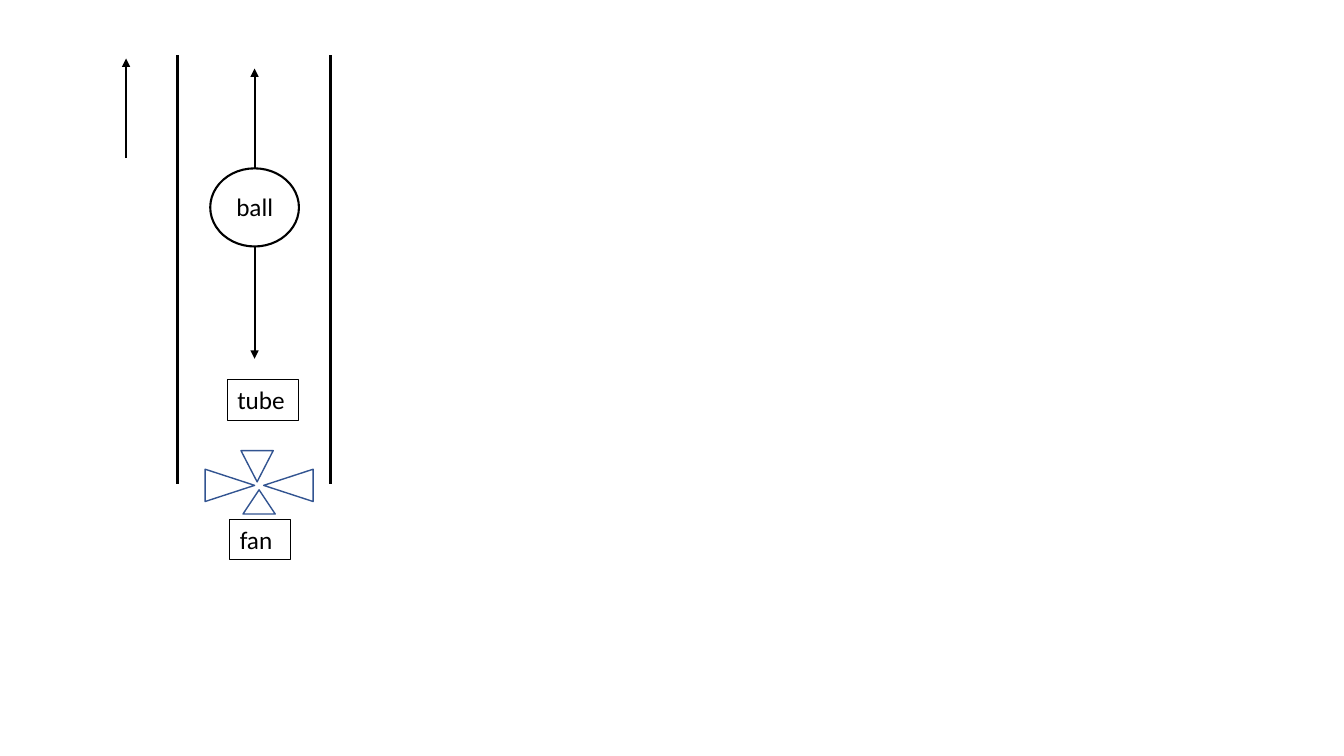
from dataclasses import dataclass

from lxml.etree import SubElement
from pptx import Presentation
from pptx.dml.color import RGBColor
from pptx.enum.shapes import MSO_CONNECTOR, MSO_SHAPE
from pptx.enum.text import MSO_AUTO_SIZE as AutoSize
from pptx.oxml.ns import qn
from pptx.util import Inches, Pt


@dataclass(frozen=True)
class Theme:
    ink: str = "000000"
    paper: str = "FFFFFF"
    blade: str = "325491"
    font: str = "Calibri"
    label_size: float = 18
    wall_width: float = 2.25
    force_width: float = 1.5
    blade_width: float = 1
    frame_width: float = 0.75


class Diagram:
    """Draws on one slide, in columns and rows of a tenth of an inch."""

    CELL = Inches(0.1)

    def __init__(self, slide, theme):
        self.shapes = slide.shapes
        self.theme = theme

    def cells(self, *counts):
        return [round(count * self.CELL) for count in counts]

    def style(self, shape, fill=None, line=None, width=0):
        if fill:
            shape.fill.solid()
            shape.fill.fore_color.rgb = RGBColor.from_string(fill)
        else:
            shape.fill.background()
        if line:
            shape.line.color.rgb = RGBColor.from_string(line)
            shape.line.width = Pt(width)
        else:
            shape.line.fill.background()

    def vertical(self, column, start_row, end_row, width, arrow=False):
        """Draw a vertical line, with an arrowhead at its end if asked."""
        line = self.shapes.add_connector(
            MSO_CONNECTOR.STRAIGHT,
            *self.cells(column, start_row, column, end_row))
        line.line.color.rgb = RGBColor.from_string(self.theme.ink)
        line.line.width = Pt(width)
        if arrow:
            SubElement(line.line._get_or_add_ln(), qn("a:tailEnd"), type="triangle")
        SubElement(line._element.spPr, qn("a:effectLst"))

    def wall(self, column, top, bottom):
        self.vertical(column, top, bottom, self.theme.wall_width)

    def force(self, column, start_row, end_row):
        self.vertical(column, start_row, end_row, self.theme.force_width, arrow=True)

    def ball(self, column, row, width, height):
        ball = self.shapes.add_shape(
            MSO_SHAPE.OVAL, *self.cells(column, row, width, height))
        ball.shadow.inherit = False
        self.style(ball, line=self.theme.ink, width=self.theme.force_width)

    def blade(self, center_column, center_row, width, length, angle):
        blade = self.shapes.add_shape(
            MSO_SHAPE.ISOSCELES_TRIANGLE,
            *self.cells(center_column - width / 2, center_row - length / 2,
                        width, length))
        blade.rotation = angle
        blade.shadow.inherit = False
        self.style(blade, self.theme.paper, self.theme.blade, self.theme.blade_width)

    def label(self, wording, column, row, width, height, framed=True):
        label = self.shapes.add_textbox(*self.cells(column, row, width, height))
        self.style(label, self.theme.paper, self.theme.ink if framed else None,
                   self.theme.frame_width)
        frame = label.text_frame
        frame.word_wrap = True
        frame.auto_size = AutoSize.SHAPE_TO_FIT_TEXT
        run = frame.paragraphs[0].add_run()
        run.text = wording
        run.font.name = self.theme.font
        run.font.size = Pt(self.theme.label_size)
        run.font.color.rgb = RGBColor.from_string(self.theme.ink)


def main():
    deck = Presentation()
    deck.slide_width, deck.slide_height = Inches(13.33), Inches(7.5)
    blank_layout = deck.slide_layouts[6]
    diagram = Diagram(deck.slides.add_slide(blank_layout), Theme())

    for wall_column in (17.6, 32.8):
        diagram.wall(wall_column, 5.5, 48)

    ball_column, ball_top, ball_bottom = 25.25, 16.7, 24.45
    diagram.ball(20.85, ball_top, 8.8, ball_bottom - ball_top)
    diagram.force(ball_column, ball_top, 6.8)
    diagram.force(ball_column, ball_bottom, 35.6)

    for center_column, center_row, length, angle in (
            (25.7, 49.8, 2.4, 0), (25.5, 46.25, 3.1, 180),
            (28.6, 48.15, 4.9, 270), (22.8, 48.15, 4.9, 90)):
        diagram.blade(center_column, center_row, 3.2, length, angle)

    label_height = 4.04
    diagram.label("fan", 22.8, 51.5, 6, label_height)
    diagram.label("tube", 22.55, 37.65, 7.1, label_height)
    diagram.label("ball", 22.45, 18.5, 6.2, label_height, framed=False)

    diagram.force(12.5, 15.7, 5.8)
    deck.save("out.pptx")


if __name__ == "__main__":
    main()
